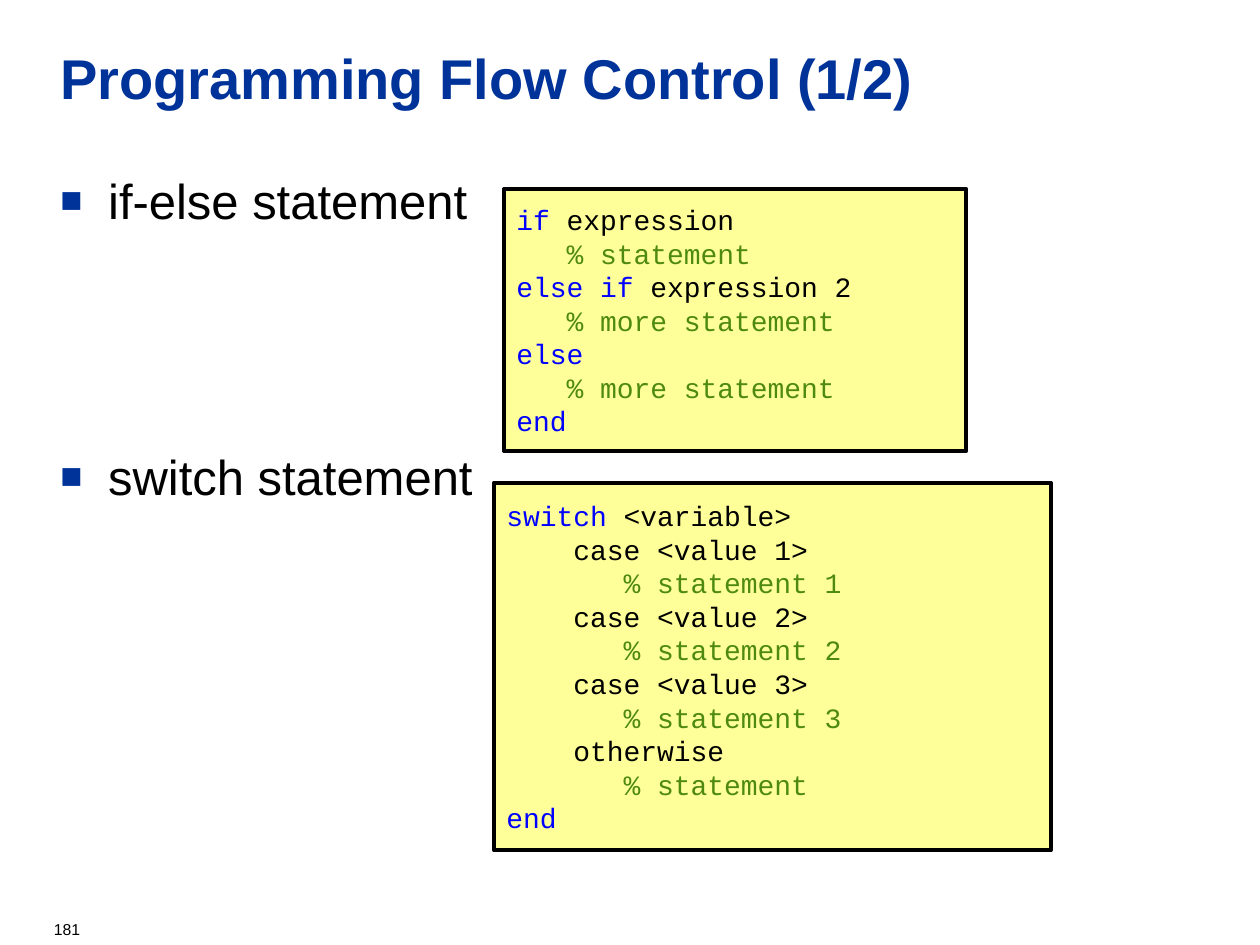
from lxml import etree
from pptx import Presentation
from pptx.dml.color import RGBColor
from pptx.enum import shapes, text
from pptx.oxml import ns
from pptx.util import Inches, Pt

# Content: code lines are lists of (colour, words)
BLUE, BLACK, GREEN, NAVY = "0000FF", "000000", "4F8A10", "003399"
TITLE = "Programming Flow Control (1/2)"
TOPICS = ["if-else statement", "switch statement"]
PAGE_NUMBER = "181"
IF_CODE = [
    [(BLUE, "if"), (BLACK, " expression")],
    [(GREEN, "   % statement")],
    [(BLUE, "else if "), (BLACK, "expression 2")],
    [(GREEN, "   % more statement")],
    [(BLUE, "else")],
    [(GREEN, "   % more statement")],
    [(BLUE, "end")],
]
SWITCH_CODE = [[(BLUE, "switch"), (BLACK, " <variable>")]]
for case, statement in [("case <value 1>", "% statement 1"),
                        ("case <value 2>", "% statement 2"),
                        ("case <value 3>", "% statement 3"),
                        ("otherwise", "% statement")]:
    SWITCH_CODE += [[(BLACK, "    " + case)], [(GREEN, "       " + statement)]]
SWITCH_CODE.append([(BLUE, "end")])

# Layout in inches: left, top, width, height
LEFT, WIDTH = 0.38, 9.11
TITLE_AREA = (LEFT, 0.3, WIDTH, 1)
TOPIC_AREA = (LEFT, 1.3, WIDTH, 5.12)
NUMBER_AREA = (0.33, 7.25, 0.75, 0.25)
CODE_AREAS = [((4, 1.5, 3.67, 2.08), IF_CODE),
              ((3.92, 3.83, 4.42, 2.92), SWITCH_CODE)]
TOPIC_GAP = 124.4  # points between the two topics
INDENT = Inches(0.38)

TITLE_FONT = {"name": "Arial", "size": Pt(32), "bold": True}
TOPIC_FONT = {"name": "Arial", "size": Pt(28)}
NUMBER_FONT = {"name": "Arial", "size": Pt(9)}
CODE_FONT = {"name": "Courier New", "size": Pt(16)}


def rgb(value):
    return RGBColor.from_string(value)


def add_run(paragraph, words, look, colour):
    run = paragraph.add_run()
    run.text = words
    for key, value in look.items():
        setattr(run.font, key, value)
    run.font.color.rgb = rgb(colour)
    return run


def add_text_area(slide, area):
    frame = slide.shapes.add_textbox(*map(Inches, area)).text_frame
    frame.word_wrap = True
    return frame


def paragraphs(frame, items):
    for index, item in enumerate(items):
        yield (frame.add_paragraph() if index else frame.paragraphs[0]), item


def add_child(parent, tag, **attributes):
    child = etree.SubElement(parent, ns.qn(tag))
    for key, value in attributes.items():
        child.set(key, str(value))
    return child


def add_bullet(paragraph):
    properties = paragraph._p.get_or_add_pPr()
    properties.set("marL", str(INDENT))
    properties.set("indent", str(-INDENT))
    add_child(add_child(properties, "a:buClr"), "a:srgbClr", val=NAVY)
    add_child(properties, "a:buSzPct", val=75000)
    add_child(properties, "a:buFont", typeface="Arial")
    add_child(properties, "a:buChar", char="■")


def add_text_shadow(run):
    effects = etree.Element(ns.qn("a:effectLst"))
    shadow = add_child(effects, "a:outerShdw", blurRad=Pt(3), dist=Pt(3),
                       dir=2700000, algn="tl")
    colour = add_child(shadow, "a:srgbClr", val=BLACK)
    add_child(colour, "a:alpha", val=30000)
    fill = run._r.get_or_add_rPr().find(ns.qn("a:solidFill"))
    fill.addnext(effects)


def add_code(slide, area, lines):
    box = slide.shapes.add_shape(shapes.MSO_SHAPE.RECTANGLE, *map(Inches, area))
    box.shadow.inherit = False
    box.fill.solid()
    box.fill.fore_color.rgb = rgb("FFFF99")
    box.line.color.rgb = rgb(BLACK)
    box.line.width = Pt(2.25)
    frame = box.text_frame
    frame.word_wrap = True
    frame.vertical_anchor = text.MSO_ANCHOR.MIDDLE
    for paragraph, line in paragraphs(frame, lines):
        paragraph.alignment = text.PP_ALIGN.LEFT
        for colour, words in line:
            add_run(paragraph, words, CODE_FONT, colour)


def main():
    deck = Presentation()
    deck.slide_width, deck.slide_height = Inches(10), Inches(7.5)
    slide = deck.slides.add_slide(deck.slide_layouts[6])

    # Page number and title
    number = add_text_area(slide, NUMBER_AREA).paragraphs[0]
    add_run(number, PAGE_NUMBER, NUMBER_FONT, BLACK)
    title = add_text_area(slide, TITLE_AREA).paragraphs[0]
    add_text_shadow(add_run(title, TITLE, TITLE_FONT, NAVY))

    # Topics
    for paragraph, topic in paragraphs(add_text_area(slide, TOPIC_AREA), TOPICS):
        add_bullet(paragraph)
        if topic != TOPICS[0]:
            paragraph.space_before = Pt(TOPIC_GAP)
        add_run(paragraph, topic, TOPIC_FONT, BLACK)

    # Code boxes
    for area, lines in CODE_AREAS:
        add_code(slide, area, lines)

    deck.save("out.pptx")


if __name__ == "__main__":
    main()
